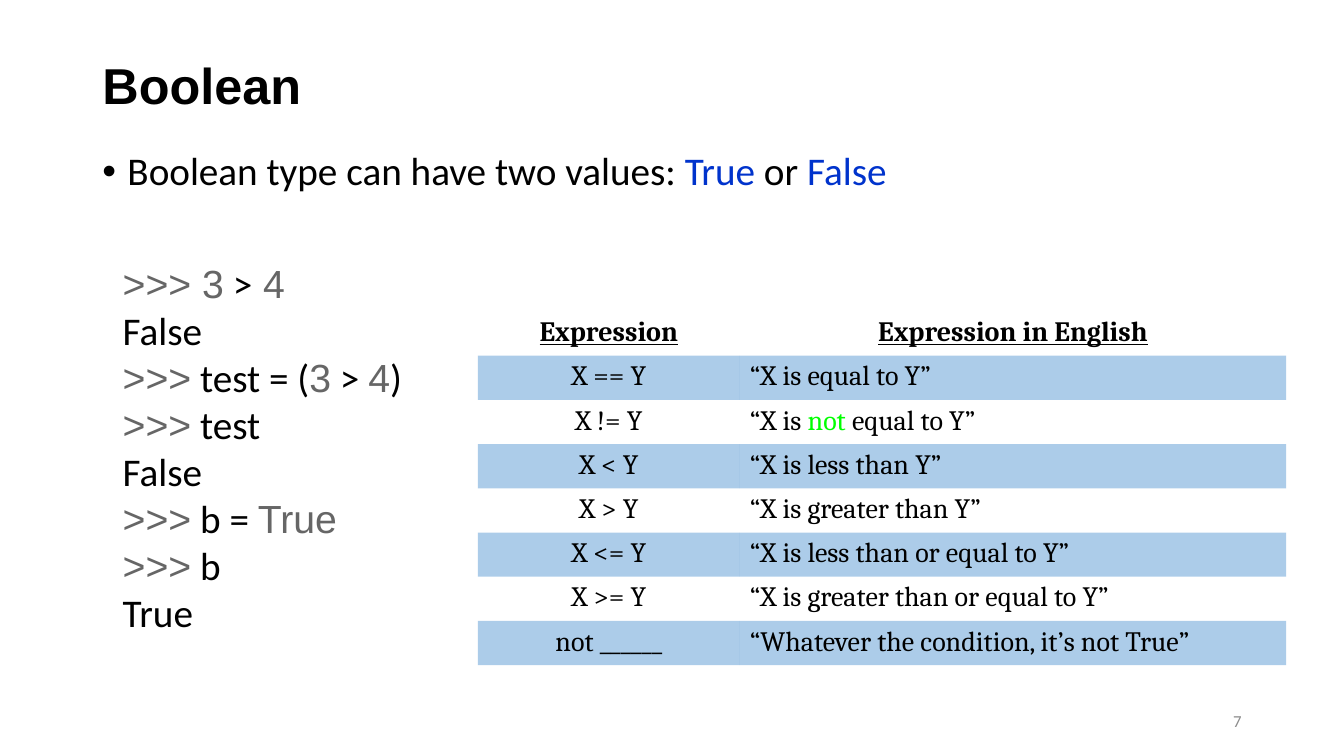
import pptx
import pptx.util
import pptx.dml.color
import pptx.enum.text
import pptx.oxml.ns
import lxml.etree

Pt = pptx.util.Pt
qn = pptx.oxml.ns.qn
ALIGN = pptx.enum.text.PP_ALIGN
ANCHOR = pptx.enum.text.MSO_ANCHOR

COLORS = {"text": "000000", "keyword": "0033CC", "code": "666666",
          "number": "8C8C8C", "not": "00FF00", "band": "5B9BD5",
          "header": "FFFFFF"}
NO_STYLE = "{2D5ABB26-0587-4C30-8999-92F81FD0307C}"


def rgb(name):
    return pptx.dml.color.RGBColor.from_string(COLORS[name])


def add_run(p, text, size=28, font="Calibri", color="text", bold=False, underline=False):
    r = p.add_run()
    r.text = text
    r.font.size = Pt(size)
    r.font.name = font
    r.font.bold = bold
    r.font.underline = underline
    r.font.color.rgb = rgb(color)


class Deck:
    def __init__(self, width, height):
        self.prs = pptx.Presentation()
        self.prs.slide_width, self.prs.slide_height = Pt(width), Pt(height)
        self.s = None

    def title_slide(self, text, left, top, width, height):
        self.s = self.prs.slides.add_slide(self.prs.slide_layouts[5])
        sp = self.s.shapes.title
        sp.left, sp.top, sp.width, sp.height = map(Pt, (left, top, width, height))
        tf = sp.text_frame
        tf.auto_size = pptx.enum.text.MSO_AUTO_SIZE.NONE
        tf.vertical_anchor = ANCHOR.MIDDLE
        p = tf.paragraphs[0]
        p.alignment = ALIGN.LEFT
        p.line_spacing = 0.9
        add_run(p, text, size=36, font="Arial", bold=True)

    def text(self, box, lines, anchor=ANCHOR.TOP, align=ALIGN.LEFT, bullet=False):
        tf = self.s.shapes.add_textbox(*map(Pt, box)).text_frame
        tf.word_wrap = True
        tf.vertical_anchor = anchor
        for i, runs in enumerate(lines):
            p = tf.add_paragraph() if i else tf.paragraphs[0]
            p.alignment = align
            if bullet:
                self.bullet(p)
            for text, fmt in runs:
                add_run(p, text, **fmt)

    def bullet(self, p):
        p.line_spacing = 0.9
        p.space_before = Pt(10)
        pPr = p._p.get_or_add_pPr()
        pPr.set("marL", str(Pt(18)))
        pPr.set("indent", str(-Pt(18)))
        lxml.etree.SubElement(pPr, qn("a:buFont")).set("typeface", "Arial")
        lxml.etree.SubElement(pPr, qn("a:buChar")).set("char", "•")

    def table(self, left, top, widths, row_height, rows):
        frame = self.s.shapes.add_table(
            len(rows), len(widths), Pt(left), Pt(top),
            Pt(sum(widths)), Pt(row_height * len(rows)))
        table = frame.table
        table._tbl.tblPr.find(qn("a:tableStyleId")).text = NO_STYLE
        table.horz_banding = False
        for col, width in zip(table.columns, widths):
            col.width = Pt(width)
        for i, row in enumerate(rows):
            table.rows[i].height = Pt(row_height)
            for j, runs in enumerate(row):
                cell = table.cell(i, j)
                self.fill(cell, i)
                p = cell.text_frame.paragraphs[0]
                p.alignment = ALIGN.CENTER if i == 0 or j == 0 else ALIGN.LEFT
                for text, color in runs:
                    add_run(p, text, size=20, font="Cambria", color=color,
                            bold=i == 0, underline=i == 0)

    def fill(self, cell, row):
        if row and row % 2 == 0:
            cell.fill.background()
            return
        cell.fill.solid()
        cell.fill.fore_color.rgb = rgb("band" if row else "header")
        if row:
            clr = cell._tc.tcPr.find(".//" + qn("a:srgbClr"))
            lxml.etree.SubElement(clr, qn("a:alpha")).set("val", "50000")


PLAIN = {}
KEYWORD = {"color": "keyword"}
CODE = {"font": "Arial", "color": "code"}
PROMPT = (">>>", CODE)

deck = Deck(960, 540)
deck.title_slide("Boolean", 66, 28.8, 828, 67.7)
deck.text((66, 105, 847.5, 50), [[
    ("Boolean type can have two values: ", PLAIN), ("True", KEYWORD),
    (" or ", PLAIN), ("False", KEYWORD)]], bullet=True)
deck.text((678, 500.5, 216, 28.8), [[("7", {"size": 12, "color": "number"})]],
          anchor=ANCHOR.MIDDLE, align=ALIGN.RIGHT)
deck.text((80.6, 181.4, 225.4, 278.6), [
    [(">>> 3", CODE), (" >", PLAIN), (" 4", CODE)],
    [("False", PLAIN)],
    [PROMPT, (" test = (", PLAIN), ("3", CODE), (" > ", PLAIN), ("4", CODE), (")", PLAIN)],
    [PROMPT, (" test", PLAIN)],
    [("False", PLAIN)],
    [PROMPT, (" b = ", PLAIN), ("True", CODE)],
    [PROMPT, (" b", PLAIN)],
    [("True", PLAIN)],
])

expressions = [
    ("Expression", [("Expression in English", "text")]),
    ("X == Y", [("“X is equal to Y”", "text")]),
    ("X != Y", [("“X is ", "text"), ("not", "not"), (" equal to Y”", "text")]),
    ("X < Y", [("“X is less than Y”", "text")]),
    ("X > Y", [("“X is greater than Y”", "text")]),
    ("X <= Y", [("“X is less than or equal to Y”", "text")]),
    ("X >= Y", [("“X is greater than or equal to Y”", "text")]),
    ("not ______", [("“Whatever the condition, it’s not True”", "text")]),
]
deck.table(341.3, 222.5, (187.2, 390.2), 31.6,
           [([(code, "text")], english) for code, english in expressions])

deck.prs.save("out.pptx")
